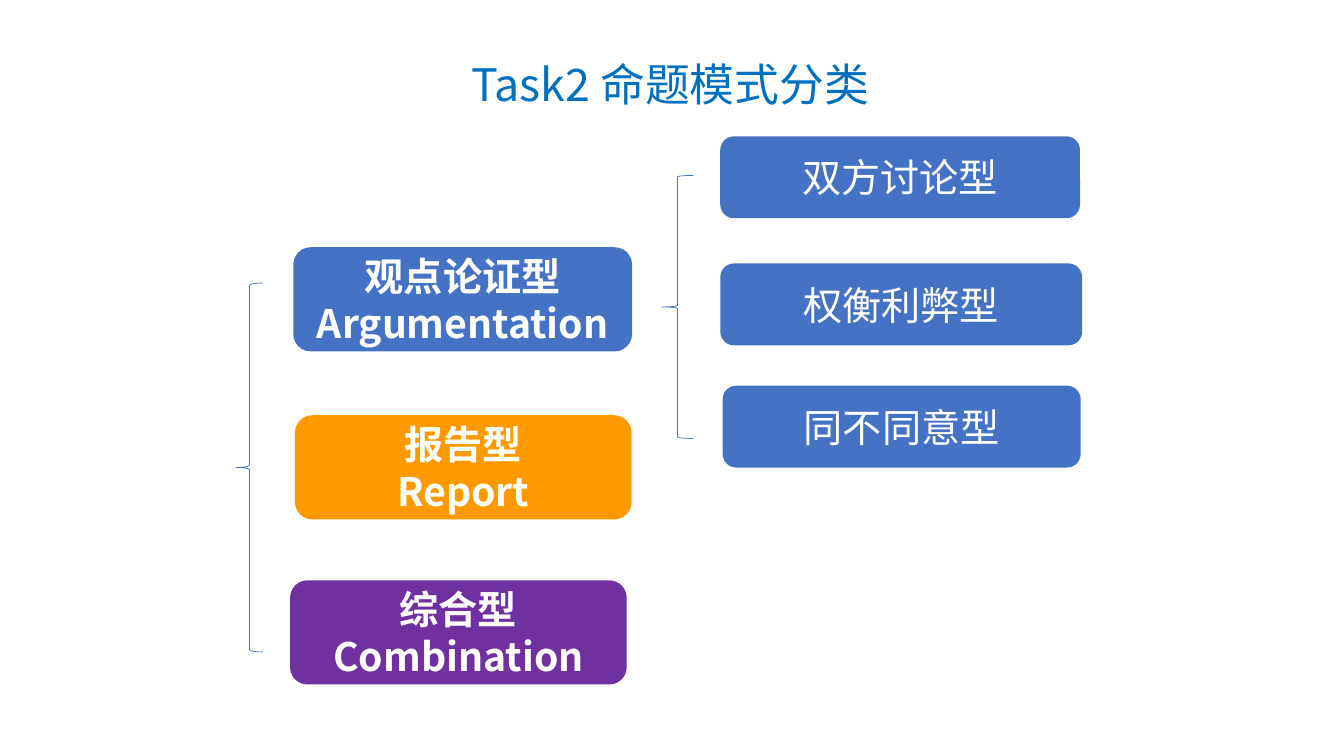
from dataclasses import dataclass

from lxml import etree
from pptx import Presentation
from pptx.dml.color import RGBColor
from pptx.enum.shapes import MSO_SHAPE
from pptx.enum.text import MSO_ANCHOR, PP_ALIGN
from pptx.oxml.ns import qn
from pptx.util import Pt

ROUNDED = MSO_SHAPE.ROUNDED_RECTANGLE
LEFT_BRACE = MSO_SHAPE.LEFT_BRACE
CENTER = PP_ALIGN.CENTER
MIDDLE = MSO_ANCHOR.MIDDLE


@dataclass(frozen=True)
class Theme:
    font: str = "Noto Sans CJK SC"
    title_size: int = 32
    box_size: int = 28
    title: str = "0070C0"
    blue: str = "4472C4"
    orange: str = "FF9900"
    purple: str = "7030A0"
    white: str = "FFFFFF"
    brace_width: float = 0.5


THEME = Theme()
SLIDE_SIZE = (960, 540)
TITLE = "Task2 命题模式分类"
TITLE_BOX = (168.5, 10, 620.6, 104.4)
TYPE_HEIGHT = 74.4
MODE_HEIGHT = 58.5

TASK_TYPES = [
    (("观点论证型", "Argumentation"), THEME.blue, (209.5, 176.6, 242)),
    (("报告型", "Report"), THEME.orange, (210.7, 296.6, 240.5)),
    (("综合型", "Combination"), THEME.purple, (207.2, 414.5, 240.5)),
]
ARGUMENT_MODES = [
    (("双方讨论型",), THEME.blue, (514.5, 97.4, 257)),
    (("权衡利弊型",), THEME.blue, (514.5, 188.2, 258.5)),
    (("同不同意型",), THEME.blue, (516.2, 275.5, 255.8)),
]
BRACES = [
    ((168.5, 202.2, 19.4, 263.5), 0.083),
    ((472.5, 125.3, 22.8, 187.9), 0.045),
]


def write_text(text_frame, lines, *, size, color, bold=False, spacing=1.0):
    text_frame.word_wrap = True
    text_frame.vertical_anchor = MIDDLE
    for index, line in enumerate(lines):
        paragraph = text_frame.add_paragraph() if index else text_frame.paragraphs[0]
        paragraph.alignment = CENTER
        paragraph.line_spacing = spacing
        run = paragraph.add_run()
        run.text = line
        run.font.name = THEME.font
        run.font.size = Pt(size)
        run.font.bold = bold
        run.font.color.rgb = RGBColor.from_string(color)
        east_asian = etree.SubElement(run.font._element, qn("a:ea"))
        east_asian.set("typeface", THEME.font)


def add_box(slide, lines, fill, place, height, *, bold=False):
    left, top, width = place
    shape = slide.shapes.add_shape(ROUNDED, Pt(left), Pt(top), Pt(width), Pt(height))
    shape.shadow.inherit = False
    shape.fill.solid()
    shape.fill.fore_color.rgb = RGBColor.from_string(fill)
    shape.line.fill.background()
    write_text(shape.text_frame, lines, size=THEME.box_size, color=THEME.white, bold=bold)


def add_brace(slide, place, curve):
    shape = slide.shapes.add_shape(LEFT_BRACE, *map(Pt, place))
    shape.adjustments[0] = curve
    shape.shadow.inherit = False
    shape.fill.background()
    shape.line.color.rgb = RGBColor.from_string(THEME.blue)
    shape.line.width = Pt(THEME.brace_width)


def main():
    """Build the slide that sorts the Task 2 question types."""
    presentation = Presentation()
    presentation.slide_width, presentation.slide_height = map(Pt, SLIDE_SIZE)
    slide = presentation.slides.add_slide(presentation.slide_layouts[5])
    title = slide.shapes.title
    title.left, title.top, title.width, title.height = map(Pt, TITLE_BOX)
    write_text(title.text_frame, [TITLE], size=THEME.title_size, color=THEME.title, spacing=0.9)
    for lines, fill, place in TASK_TYPES:
        add_box(slide, lines, fill, place, TYPE_HEIGHT, bold=True)
    for lines, fill, place in ARGUMENT_MODES:
        add_box(slide, lines, fill, place, MODE_HEIGHT)
    for place, curve in BRACES:
        add_brace(slide, place, curve)
    presentation.save("out.pptx")


if __name__ == "__main__":
    main()
